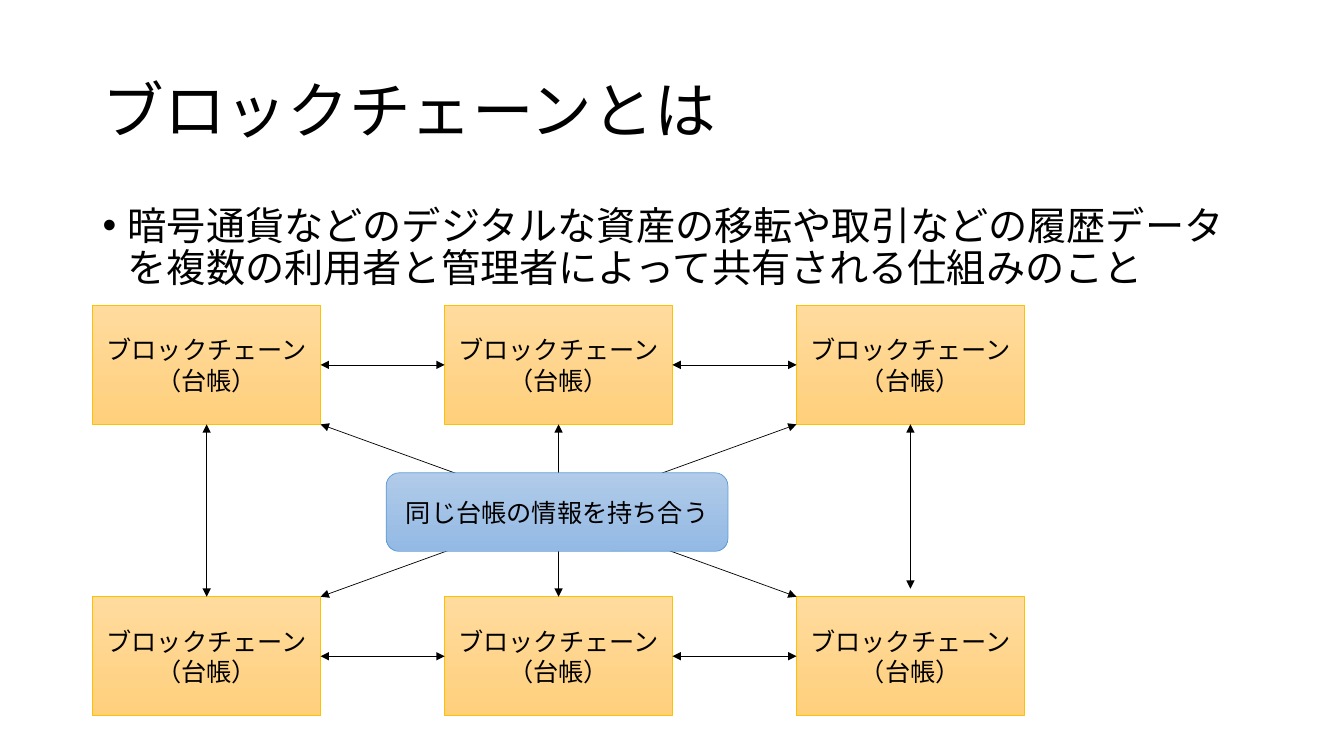
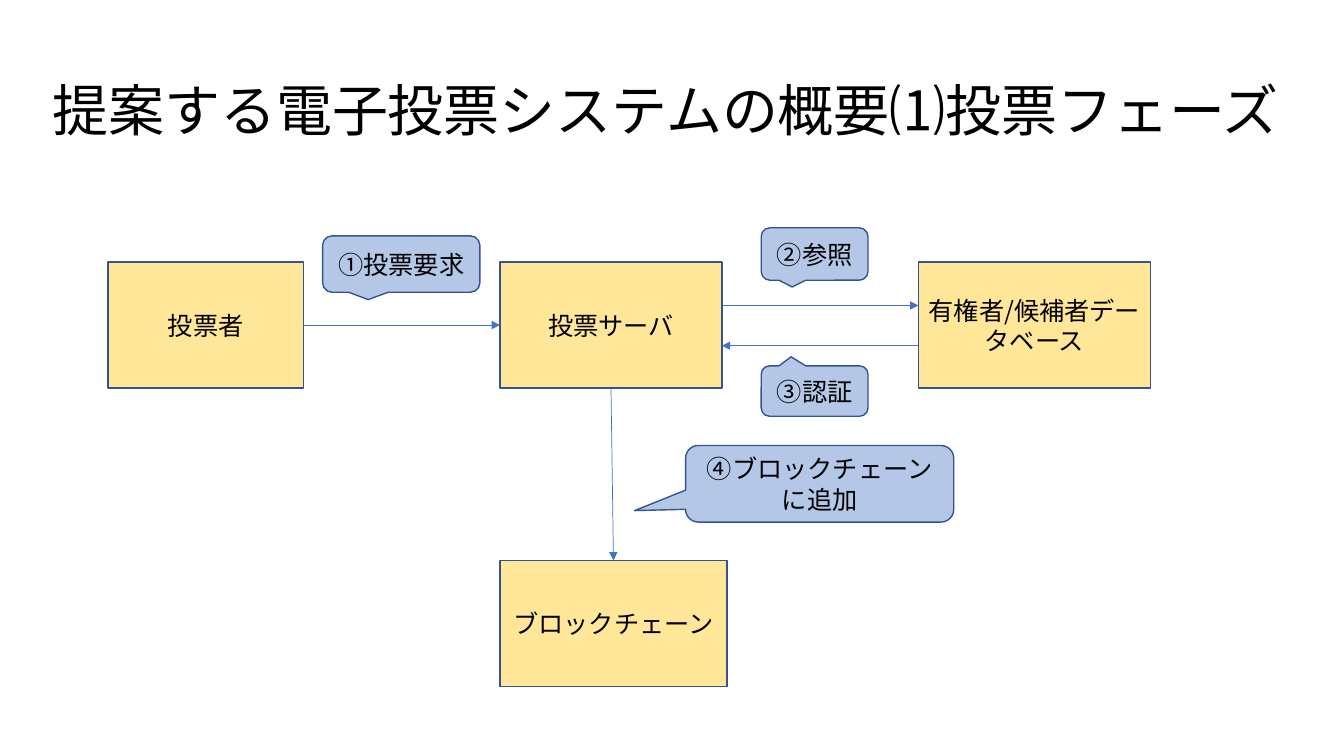
from lxml import etree
from pptx import Presentation
from pptx.dml.color import RGBColor
from pptx.enum.lang import MSO_LANGUAGE_ID as Language
from pptx.enum.shapes import MSO_CONNECTOR as Connector, MSO_SHAPE as Shape
from pptx.enum.text import MSO_ANCHOR as Anchor, PP_ALIGN as Align
from pptx.oxml.ns import qn
from pptx.util import Inches, Pt

# Shared style
FONT = "Noto Sans CJK JP"
COLORS = {
    "text": "000000",
    "ledger_top": "FFDB9E", "ledger_bottom": "FFD07C", "ledger_line": "FFC000",
    "hub_top": "B1CBE9", "hub_bottom": "93B9E4", "hub_line": "5B9BD5",
    "node": "FFE699", "callout": "B4C7E7", "outline": "325491", "arrow": "4472C4",
}
TOP, BOTTOM, LEFT, RIGHT = 0, 2, 1, 3  # connection sites, same order as left = 1, right = 3

# Slide 1 content
LEDGER_TITLE = "ブロックチェーンとは"
LEDGER_BODY = "暗号通貨などのデジタルな資産の移転や取引などの履歴データを複数の利用者と管理者によって共有される仕組みのこと"
LEDGER_TEXT = "ブロックチェーン（台帳）"
HUB_TEXT = "同じ台帳の情報を持ち合う"
LEDGER_X, LEDGER_STEP, LEDGER_ROWS = 0.92, 3.49, (3.03, 5.92)
LEDGER_W, LEDGER_H = 2.26, 1.18

# Slide 2 content
VOTING_TITLE = "提案する電子投票システムの概要⑴投票フェーズ"
NODE_H = 1.25
NODES = {  # name: (text, left, top, width)
    "server": ("投票サーバ", 4.96, 2.6, 2.2),
    "database": ("有権者/候補者データベース", 9.11, 2.6, 2.3),
    "voter": ("投票者", 1.07, 2.6, 1.94),
    "chain": ("ブロックチェーン", 4.96, 5.56, 2.25),
}
JOINS = [("voter", RIGHT, "server", LEFT), ("server", BOTTOM, "chain", TOP)]
EXCHANGES = [((7.17, 3.03), (9.11, 3.03)), ((9.1, 3.43), (7.16, 3.43))]
CALLOUTS = [  # text, position and size, pointer tip
    ("①投票要求", (3.2, 2.34, 1.56, 0.56), (-0.21, 0.63)),
    ("②参照", (7.55, 2.26, 1.06, 0.52), (-0.21, 0.63)),
    ("④ブロックチェーンに追加", (6.8, 4.42, 2.66, 0.76), (-0.69, 0.35)),
    ("③認証", (7.55, 3.63, 1.06, 0.5), (-0.22, -0.68)),
]


def rgb(name):
    return RGBColor.from_string(COLORS[name])


def write(box, text, size=18, align=Align.CENTER, anchor=Anchor.MIDDLE,
          spacing=None, before=None, bullet=False):
    frame = box.text_frame
    frame.word_wrap = True
    frame.vertical_anchor = anchor
    para = frame.paragraphs[0]
    para.alignment = align
    para.line_spacing = spacing
    para.space_before = before
    if bullet:
        props = para._p.get_or_add_pPr()
        props.set("marL", str(Inches(0.25)))
        props.set("indent", str(-Inches(0.25)))
        etree.SubElement(props, qn("a:buFont")).set("typeface", "Arial")
        etree.SubElement(props, qn("a:buChar")).set("char", "•")
    span = para.add_run()
    span.text = text
    span.font.size = Pt(size)
    span.font.name = FONT
    span.font.color.rgb = rgb("text")
    span.font.language_id = Language.JAPANESE
    latin = span.font._element.find(qn("a:latin"))
    east_asian = etree.Element(qn("a:ea"))
    east_asian.set("typeface", FONT)
    latin.addnext(east_asian)


def add_text(page, area, text, **style):
    box = page.shapes.add_textbox(*map(Inches, area))
    write(box, text, align=Align.LEFT, **style)


def add_title(page, text, left=0.92, width=11.5, size=44):
    add_text(page, (left, 0.4, width, 1.45), text, size=size, spacing=0.9)


def add_box(page, kind, area, text, fill, line, weight):
    """Draw a labelled shape; two fill names make a top-to-bottom gradient."""
    box = page.shapes.add_shape(kind, *map(Inches, area))
    box.shadow.inherit = False
    if len(fill) == 2:
        box.fill.gradient()
        box.fill.gradient_angle = 270
        for stop, name in zip(box.fill.gradient_stops, fill):
            stop.color.rgb = rgb(name)
    else:
        box.fill.solid()
        box.fill.fore_color.rgb = rgb(fill[0])
    box.line.color.rgb = rgb(line)
    box.line.width = Pt(weight)
    write(box, text)
    return box


def add_arrow(page, start, end, color, both=False):
    """Each end is an (x, y) point in inches or a (shape, site) pair."""
    points = [(0, 0) if hasattr(a, "shape_type") else (a, b) for a, b in (start, end)]
    arrow = page.shapes.add_connector(
        Connector.STRAIGHT, *[Inches(value) for point in points for value in point])
    for (target, site), join in ((start, arrow.begin_connect), (end, arrow.end_connect)):
        if hasattr(target, "shape_type"):
            join(target, site)
    arrow.line.color.rgb = rgb(color)
    arrow.line.width = Pt(0.5)
    line = arrow.line._get_or_add_ln()
    for tag in ("a:headEnd", "a:tailEnd") if both else ("a:tailEnd",):
        etree.SubElement(line, qn(tag)).set("type", "triangle")
    etree.SubElement(arrow._element.spPr, qn("a:effectLst"))


def build_ledger_page(page):
    add_title(page, LEDGER_TITLE)
    add_text(page, (0.92, 2, 11.5, 1), LEDGER_BODY, size=28, anchor=Anchor.TOP,
             spacing=0.9, before=Pt(10), bullet=True)

    # Grid of ledgers
    columns = [LEDGER_X + LEDGER_STEP * i for i in range(3)]
    grid = [[add_box(page, Shape.RECTANGLE, (x, y, LEDGER_W, LEDGER_H), LEDGER_TEXT,
                     ("ledger_top", "ledger_bottom"), "ledger_line", 0.5)
             for x in columns] for y in LEDGER_ROWS]
    upper, lower = grid

    # Links between neighbours, then the diagonals
    links = [((right, LEFT), (left, RIGHT))
             for row in grid for left, right in zip(row, row[1:])]
    links += [((lower[i], TOP), (upper[i], BOTTOM)) for i in range(2)]
    links.append(((columns[2] + LEDGER_W / 2, 5.84), (upper[2], BOTTOM)))
    inner_left, inner_right = columns[0] + LEDGER_W, columns[2]
    upper_edge, lower_edge = LEDGER_ROWS[0] + LEDGER_H, LEDGER_ROWS[1]
    links += [((inner_right, lower_edge), (inner_left, upper_edge)),
              ((inner_right, upper_edge), (inner_left, lower_edge))]
    for start, end in links:
        add_arrow(page, start, end, "text", both=True)

    # Shared information in the centre
    add_box(page, Shape.ROUNDED_RECTANGLE, (3.83, 4.69, 3.39, 0.78), HUB_TEXT,
            ("hub_top", "hub_bottom"), "hub_line", 0.5)


def build_voting_page(page):
    add_title(page, VOTING_TITLE, left=0.42, width=12.5, size=40)

    # Participants and the flow between them
    nodes = {name: add_box(page, Shape.RECTANGLE, (x, y, width, NODE_H), text,
                           ("node",), "outline", 1)
             for name, (text, x, y, width) in NODES.items()}
    for source, out_site, target, in_site in JOINS:
        add_arrow(page, (nodes[source], out_site), (nodes[target], in_site), "arrow")
    for start, end in EXCHANGES:
        add_arrow(page, start, end, "arrow")

    # Numbered steps
    for text, area, tip in CALLOUTS:
        callout = add_box(page, Shape.ROUNDED_RECTANGULAR_CALLOUT, area, text,
                          ("callout",), "outline", 1)
        callout.adjustments[0], callout.adjustments[1] = tip


def main():
    deck = Presentation()
    deck.slide_width, deck.slide_height = Inches(13.33), Inches(7.5)
    for build in (build_ledger_page, build_voting_page):
        build(deck.slides.add_slide(deck.slide_layouts[6]))
    deck.save("out.pptx")


if __name__ == "__main__":
    main()
